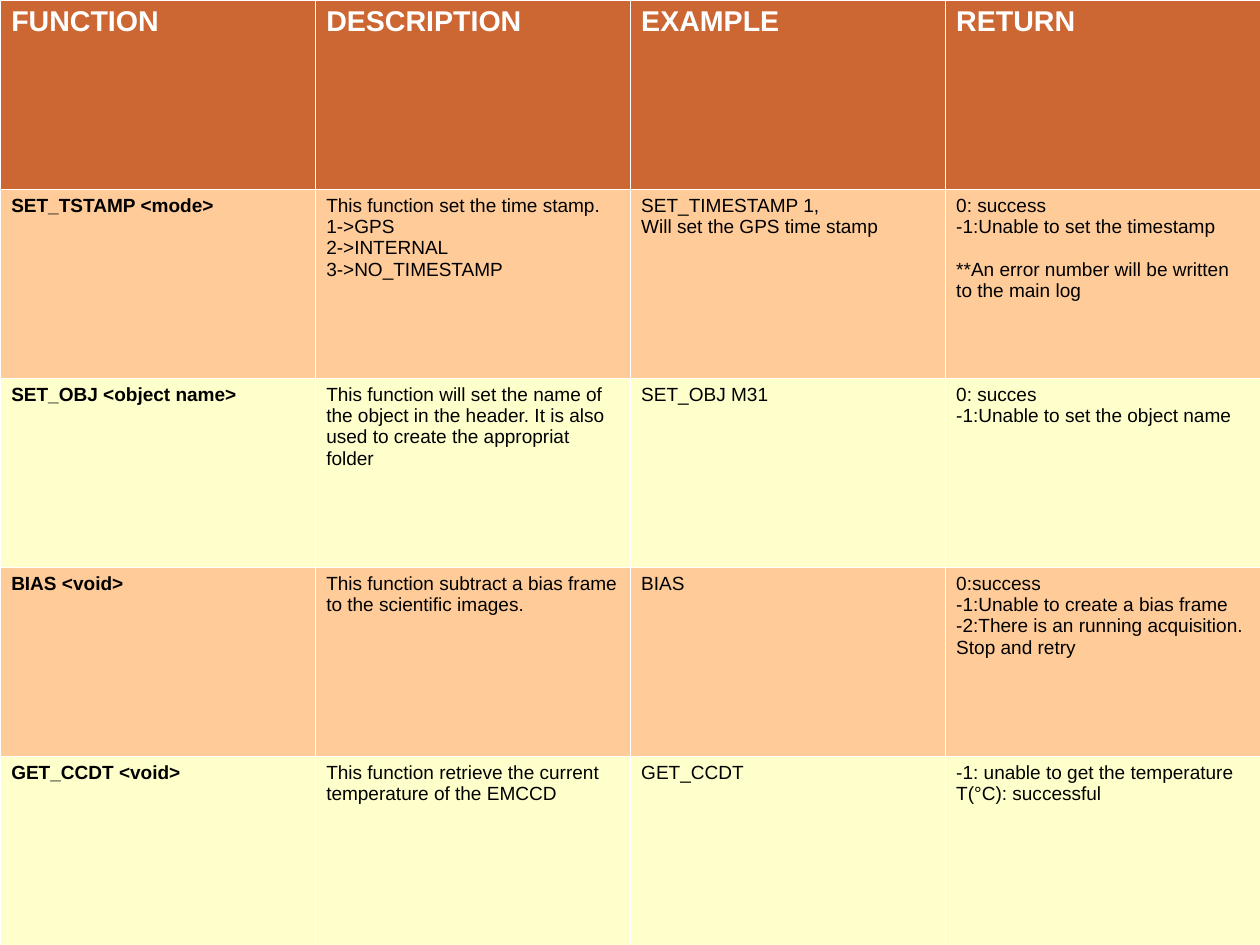
import pptx
import pptx.dml.color
import pptx.enum.text
import pptx.oxml.ns
import pptx.util
from lxml import etree
from pptx.util import Cm

WIDTH, HEIGHT = Cm(28), Cm(21)
HEADER_FILL = "CC6633"
BAND_FILLS = ("FFCC99", "FFFFCC")
BORDER_COLOR, BORDER_PT = "FFFFFF", 0.06

HEADINGS = ("FUNCTION", "DESCRIPTION", "EXAMPLE", "RETURN")
# Each cell is a list of paragraphs; a remark beginning with ** is set apart
COMMANDS = (
    (["SET_TSTAMP <mode>"],
     ["This function set the time stamp.", "1->GPS", "2->INTERNAL",
      "3->NO_TIMESTAMP"],
     ["SET_TIMESTAMP 1,", "Will set the GPS time stamp"],
     ["0: success", "-1:Unable to set the timestamp",
      "**An error number will be written to the main log"]),
    (["SET_OBJ <object name>"],
     ["This function will set the name of the object in the header. "
      "It is also used to create the appropriat folder"],
     ["SET_OBJ M31"],
     ["0: succes", "-1:Unable to set the object name"]),
    (["BIAS <void>"],
     ["This function subtract a bias frame to the scientific images."],
     ["BIAS"],
     ["0:success", "-1:Unable to create a bias frame",
      "-2:There is an running acquisition. Stop and retry"]),
    (["GET_CCDT <void>"],
     ["This function retrieve the current temperature of the EMCCD"],
     ["GET_CCDT"],
     ["-1: unable to get the temperature", "T(°C): successful"]),
)


def rgb(hex_color):
    return pptx.dml.color.RGBColor.from_string(hex_color)


def write_text(frame, lines, size=12, color="000000", bold=False):
    """Fill a text frame with one paragraph per line."""
    for index, line in enumerate(lines):
        paragraph = frame.paragraphs[0] if index == 0 else frame.add_paragraph()
        paragraph.alignment = pptx.enum.text.PP_ALIGN.LEFT
        if line.startswith("**"):
            paragraph.space_before = pptx.util.Pt(13.4)
        run = paragraph.add_run()
        run.text = line
        run.font.name = "Arial"
        run.font.size = pptx.util.Pt(size)
        run.font.bold = bold
        run.font.color.rgb = rgb(color)


def style_cell(cell, fill):
    """Set margins, thin borders on all sides, and the fill."""
    cell.margin_left = cell.margin_right = Cm(0.25)
    cell.margin_top = cell.margin_bottom = Cm(0.13)
    cell.vertical_anchor = pptx.enum.text.MSO_ANCHOR.TOP
    properties = cell._tc.get_or_add_tcPr()
    qn = pptx.oxml.ns.qn
    for side in ("a:lnL", "a:lnR", "a:lnT", "a:lnB"):
        border = etree.SubElement(properties, qn(side),
                                  w=str(pptx.util.Pt(BORDER_PT)))
        solid = etree.SubElement(border, qn("a:solidFill"))
        etree.SubElement(solid, qn("a:srgbClr"), val=BORDER_COLOR)
    cell.fill.solid()
    cell.fill.fore_color.rgb = rgb(fill)


def add_command_table(slide, left, top, width, height):
    """Draw the command reference in equal columns and rows."""
    table = slide.shapes.add_table(len(COMMANDS) + 1, len(HEADINGS),
                                   left, top, width, height).table
    table.first_row = table.horz_banding = False

    # Heading row
    for column, heading in enumerate(HEADINGS):
        cell = table.cell(0, column)
        style_cell(cell, HEADER_FILL)
        write_text(cell.text_frame, [heading], size=18, color="FFFFFF", bold=True)

    # Command rows in alternating bands
    for row, command in enumerate(COMMANDS):
        for column, lines in enumerate(command):
            cell = table.cell(row + 1, column)
            style_cell(cell, BAND_FILLS[row % 2])
            write_text(cell.text_frame, lines, bold=column == 0)


def main():
    presentation = pptx.Presentation()
    presentation.slide_width, presentation.slide_height = WIDTH, HEIGHT
    blank_layout = presentation.slide_layouts[6]
    slide = presentation.slides.add_slide(blank_layout)
    add_command_table(slide, Cm(0), Cm(0), WIDTH, HEIGHT)
    presentation.save("out.pptx")


if __name__ == "__main__":
    main()
